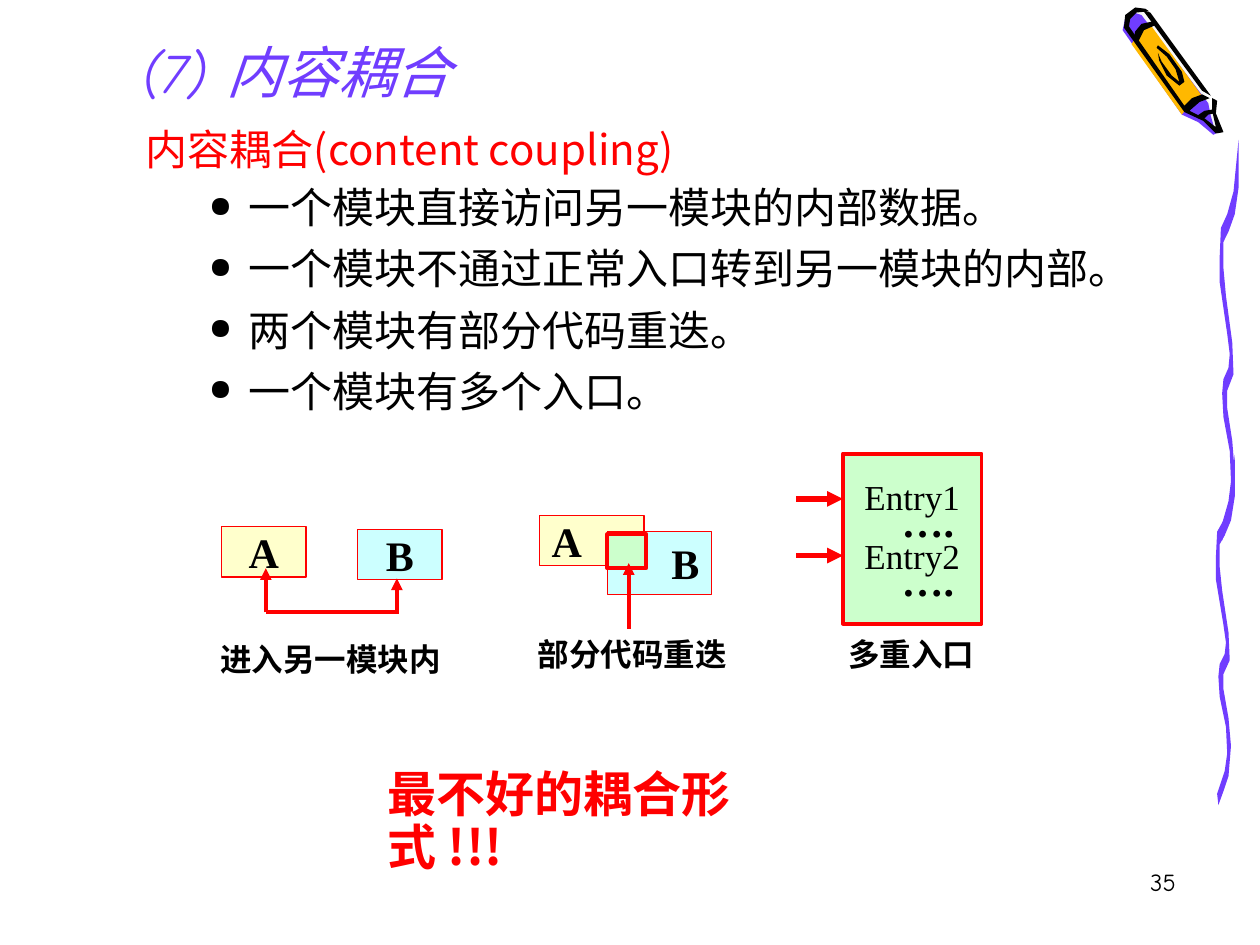
"""Build the slide on content coupling between modules."""
import lxml.etree
import pptx
import pptx.dml.color
import pptx.enum.shapes
import pptx.enum.text
import pptx.oxml.ns
import pptx.util

Pt = pptx.util.Pt
qn = pptx.oxml.ns.qn
Align = pptx.enum.text.PP_ALIGN
Anchor = pptx.enum.text.MSO_ANCHOR
RECTANGLE = pptx.enum.shapes.MSO_SHAPE.RECTANGLE
STRAIGHT = pptx.enum.shapes.MSO_CONNECTOR.STRAIGHT
SANS, SERIF, COMIC = "Noto Sans CJK SC", "Times New Roman", "Comic Neue"
RED, BLACK, PURPLE, YELLOW = "FF0000", "000000", "703DFF", "FFFFCC"


def colour(hex_string):
    return pptx.dml.color.RGBColor.from_string(hex_string)


def write(frame, text, size, hex_string, font, bold=False, align=Align.LEFT):
    frame.text = text
    for paragraph in frame.paragraphs:
        paragraph.alignment = align
        for run in paragraph.runs:
            run.font.size = Pt(size)
            run.font.bold = bold
            run.font.name = font
            run.font.color.rgb = colour(hex_string)
            east_asian = lxml.etree.SubElement(run.font._element, qn("a:ea"))
            east_asian.set("typeface", SANS)


deck = pptx.Presentation()
deck.slide_width, deck.slide_height = Pt(720), Pt(540)
slide = deck.slides.add_slide(deck.slide_layouts[5])
shapes = slide.shapes

ribbon = [(966, 630), (972, 612), (974, 598), (973, 577), (968, 553), (967, 537),
          (968, 527), (972, 519), (973, 510), (971, 496), (965, 460), (965, 442),
          (966, 422), (971, 413), (976, 397), (980, 361), (980, 394), (977, 413),
          (972, 425), (968, 432), (968, 450), (970, 469), (975, 502), (976, 524),
          (971, 535), (971, 547), (975, 570), (977, 592), (975, 616), (971, 628),
          (967, 639)]
upper_ribbon = [(x + 3, 111 + (y - 361) * 318 / 278) for x, y in ribbon]
crayon_paper = [(968, 103), (963, 88), (952, 66), (909, 9), (902, 7), (896, 12),
                (894, 22), (941, 88), (956, 95), (966, 104)]
crayon_wax = [(906, 12), (959, 82), (961, 92), (965, 106), (963, 107), (951, 97),
              (938, 91), (891, 24), (893, 15), (900, 10)]
crayon_label = [(898, 35), (938, 91), (946, 81), (956, 79), (914, 21), (905, 25)]
crayon_tip = [(962, 87), (956, 88), (950, 92), (956, 94), (959, 91), (964, 90)]
crayon_edge = [(909, 7), (901, 6), (893, 12), (892, 22), (940, 89), (955, 96),
               (965, 106), (971, 105), (965, 90), (966, 80), (962, 78), (962, 88),
               (965, 101), (956, 94), (944, 88), (952, 81), (960, 78), (954, 75),
               (946, 78), (940, 84), (896, 21), (897, 15), (902, 10), (912, 9)]
crayon_side = [(913, 10), (961, 76), (954, 72), (907, 8)]
crayon_band = [(915, 17), (906, 19), (901, 25), (900, 30), (903, 34), (908, 24), (917, 20)]
crayon_oval = [(918, 38), (926, 45), (933, 55), (936, 65), (930, 60), (922, 49),
               (919, 42), (920, 48), (926, 60), (936, 68), (940, 65), (938, 57),
               (928, 43), (919, 36)]
for outline, fill in [
    (ribbon, PURPLE), (upper_ribbon, PURPLE), (crayon_paper, "F8F8F8"),
    (crayon_wax, PURPLE), (crayon_label, "FFB800"), (crayon_tip, BLACK),
    (crayon_edge, BLACK), (crayon_side, BLACK), (crayon_band, BLACK), (crayon_oval, BLACK),
]:
    builder = shapes.build_freeform(*outline[0], scale=Pt(0.72))
    builder.add_line_segments(outline[1:], close=True)
    drawing = builder.convert_to_shape()
    drawing.shadow.inherit = False
    drawing.fill.solid()
    drawing.fill.fore_color.rgb = colour(fill)
    drawing.line.fill.background()

title = shapes.title
title.left, title.top, title.width, title.height = Pt(74.2), Pt(25.2), Pt(472.3), Pt(31)
write(title.text_frame, "(7) 内容耦合", 32, PURPLE, COMIC, align=Align.JUSTIFY)
title.text_frame.auto_size = pptx.enum.text.MSO_AUTO_SIZE.NONE
title.text_frame.vertical_anchor = Anchor.MIDDLE
title.text_frame.paragraphs[0].runs[0].font.italic = True

body = shapes.add_textbox(Pt(76.3), Pt(74.9), Pt(591.8), Pt(180.7)).text_frame
body.word_wrap = True
write(body, "内容耦合(content coupling)\n一个模块直接访问另一模块的内部数据。\n"
      "一个模块不通过正常入口转到另一模块的内部。\n两个模块有部分代码重迭。\n"
      "一个模块有多个入口。", 24, BLACK, SANS, align=Align.JUSTIFY)
heading, *points = body.paragraphs
heading.line_spacing = 0.7
heading.runs[0].font.color.rgb = colour(RED)
for point in points:
    point.level = 1
    properties = point._p.get_or_add_pPr()
    properties.set("marL", str(Pt(58.5)))
    properties.set("indent", str(Pt(-22.5)))
    bullet_colour = lxml.etree.SubElement(properties, qn("a:buClr"))
    lxml.etree.SubElement(bullet_colour, qn("a:srgbClr")).set("val", BLACK)
    lxml.etree.SubElement(properties, qn("a:buSzPct")).set("val", "70000")
    lxml.etree.SubElement(properties, qn("a:buChar")).set("char", "●")
    point.line_spacing = 0.95
    point.space_before = Pt(7.5)

for text, left, top, width, height, fill, border, align in [
    ("A", 126.7, 301, 48.2, 28.8, YELLOW, 0.75, Align.CENTER),
    ("B", 204.5, 302.4, 48.2, 28.8, "CCFFFF", 0.75, Align.CENTER),
    ("A", 308.2, 294.5, 59.8, 28.8, YELLOW, 0.75, Align.LEFT),
    ("B", 347, 303.8, 59.8, 36, "CCFFFF", 0.75, Align.RIGHT),
    ("", 347, 305.3, 22.3, 19.4, "CCFFCC", 2.25, Align.CENTER),
    ("Entry1\n….\nEntry2\n….", 481.7, 259.2, 79.2, 97.2, "CCFFCC", 2.25, Align.CENTER),
]:
    module = shapes.add_shape(RECTANGLE, Pt(left), Pt(top), Pt(width), Pt(height))
    module.shadow.inherit = False
    module.fill.solid()
    module.fill.fore_color.rgb = colour(fill)
    module.line.color.rgb = colour(RED)
    module.line.width = Pt(border)
    module.text_frame.word_wrap = False
    module.text_frame.vertical_anchor = Anchor.MIDDLE
    write(module.text_frame, text, 24, BLACK, SERIF, True, align)

entries = module.text_frame.paragraphs
for entry in entries[::2]:
    entry.runs[0].font.size = Pt(20)
    entry.runs[0].font.bold = False
entries[2].line_spacing = 0.8
for dots in entries[1::2]:
    dots.line_spacing = 0.5
    dots._p.get_or_add_pPr().set("marL", str(Pt(18)))

for x1, y1, x2, y2, weight, pointed in [
    (151.9, 349.9, 151.9, 324.7, 2.25, True),
    (226.8, 349.9, 226.8, 330.5, 2.25, True),
    (151.9, 349.9, 228.2, 349.9, 2.25, False),
    (359.3, 359.3, 359.3, 321.8, 2.25, True),
    (455, 285.1, 481.7, 285.1, 3, True),
    (455, 317.5, 481.7, 317.5, 3, True),
]:
    arrow = shapes.add_connector(STRAIGHT, Pt(x1), Pt(y1), Pt(x2), Pt(y2))
    arrow.line.color.rgb = colour(RED)
    arrow.line.width = Pt(weight)
    if pointed:
        lxml.etree.SubElement(arrow.line._get_or_add_ln(), qn("a:tailEnd")).set("type", "triangle")
    lxml.etree.SubElement(arrow._element.spPr, qn("a:effectLst"))

for text, left, top, width, height, size, hex_string, font, bold, align in [
    ("进入另一模块内", 118.8, 362.2, 154.8, 28.8, 18, BLACK, SERIF, True, Align.LEFT),
    ("部分代码重迭", 300.2, 359.3, 130.3, 28.8, 18, BLACK, SERIF, True, Align.LEFT),
    ("多重入口", 477.6, 359.3, 104.9, 28.8, 18, BLACK, SERIF, True, Align.LEFT),
    ("最不好的耦合形式 !!!", 214.6, 436.3, 275, 37.4, 28, RED, SANS, True, Align.LEFT),
    ("35", 529.2, 491.8, 149.8, 36, 14, BLACK, COMIC, False, Align.RIGHT),
]:
    caption = shapes.add_textbox(Pt(left), Pt(top), Pt(width), Pt(height)).text_frame
    caption.word_wrap = True
    write(caption, text, size, hex_string, font, bold, align)
    if size == 28:
        caption.paragraphs[0].line_spacing = 0.9

deck.save("out.pptx")
